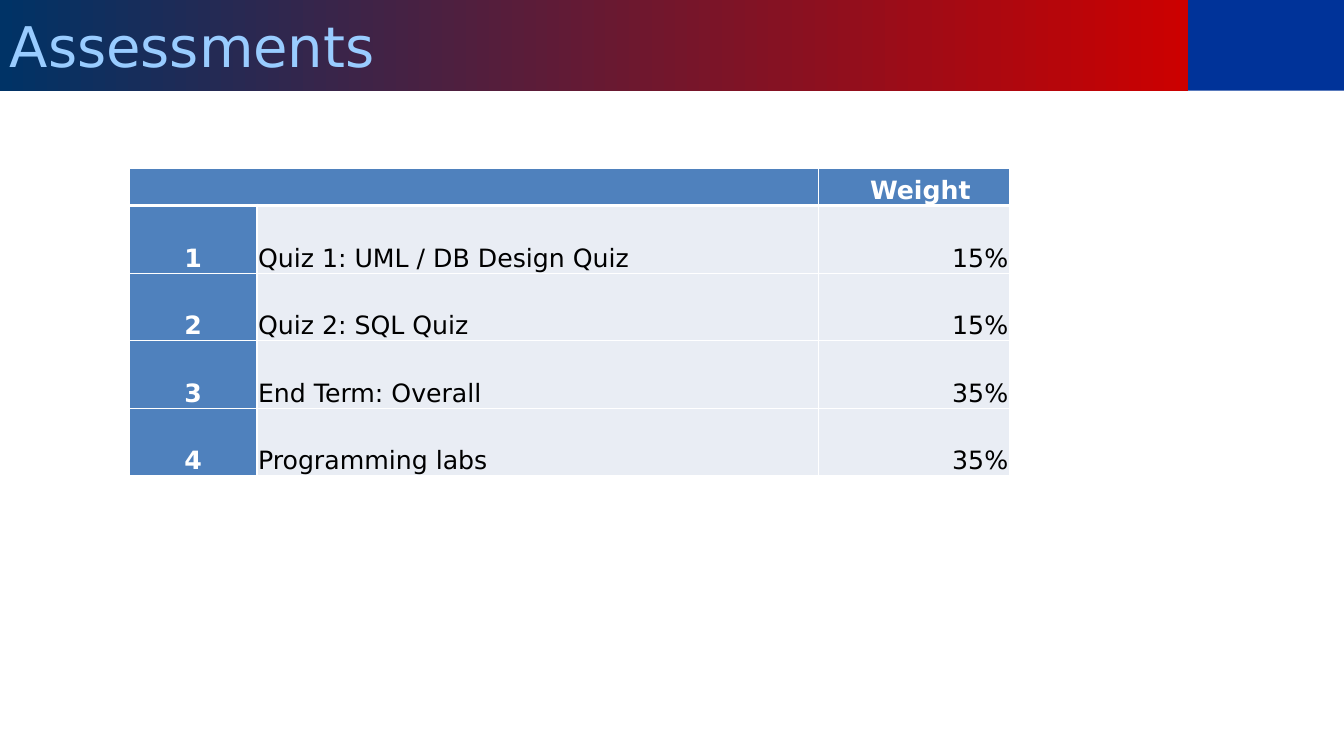
"""Build the Assessments slide with its table of weights."""
from dataclasses import dataclass

import lxml.etree
import pptx
import pptx.dml.color
import pptx.enum.shapes
import pptx.enum.text
import pptx.oxml.ns
import pptx.util

Inches = pptx.util.Inches
Align = pptx.enum.text.PP_ALIGN
FONT = "DejaVu Sans"
WHITE, BLACK = "FFFFFF", "000000"
HEADING_BLUE, ROW_GREY = "4F81BD", "E9EDF4"
COLUMN_WIDTHS = (1.27, 5.57, 1.89)
HEADING_HEIGHT, ROW_HEIGHT = 0.37, 0.67


@dataclass(frozen=True)
class Assessment:
    title: str
    weight: str


@dataclass(frozen=True)
class CellLook:
    fill: str
    color: str
    bold: bool
    align: Align
    indent: float = 0
    bottom_border: float = 1


HEADING = CellLook(HEADING_BLUE, WHITE, True, Align.LEFT, indent=0.5, bottom_border=3)
NUMBER = CellLook(HEADING_BLUE, WHITE, True, Align.CENTER)
TITLE = CellLook(ROW_GREY, BLACK, False, Align.LEFT)
WEIGHT = CellLook(ROW_GREY, BLACK, False, Align.RIGHT)

ASSESSMENTS = (
    Assessment("Quiz 1: UML / DB Design Quiz", "15%"),
    Assessment("Quiz 2: SQL Quiz", "15%"),
    Assessment("End Term: Overall", "35%"),
    Assessment("Programming labs", "35%"),
)


def rgb(code: str) -> pptx.dml.color.RGBColor:
    return pptx.dml.color.RGBColor.from_string(code)


def add_run(paragraph, text: str, size: float, color: str, bold: bool = False) -> None:
    run = paragraph.add_run()
    run.text = text
    run.font.name = FONT
    run.font.size = pptx.util.Pt(size)
    run.font.bold = bold
    run.font.color.rgb = rgb(color)


def add_band(slide, left: float, width: float):
    band = slide.shapes.add_shape(
        pptx.enum.shapes.MSO_SHAPE.RECTANGLE,
        Inches(left), Inches(0), Inches(width), Inches(0.9),
    )
    band.shadow.inherit = False
    band.line.fill.background()
    return band


def add_borders(cell, bottom_width: float) -> None:
    properties = cell._tc.get_or_add_tcPr()
    widths = {"lnL": 1, "lnR": 1, "lnT": 1, "lnB": bottom_width}
    for position, (side, width) in enumerate(widths.items()):
        border = lxml.etree.Element(
            pptx.oxml.ns.qn(f"a:{side}"), w=str(pptx.util.Pt(width))
        )
        fill = lxml.etree.SubElement(border, pptx.oxml.ns.qn("a:solidFill"))
        lxml.etree.SubElement(fill, pptx.oxml.ns.qn("a:srgbClr"), val=WHITE)
        properties.insert(position, border)


def fill_cell(cell, text: str, look: CellLook) -> None:
    cell.fill.solid()
    cell.fill.fore_color.rgb = rgb(look.fill)
    cell.margin_left = cell.margin_right = cell.margin_top = Inches(0.01)
    cell.margin_bottom = 0
    cell.vertical_anchor = pptx.enum.text.MSO_ANCHOR.BOTTOM
    add_borders(cell, look.bottom_border)
    paragraph = cell.text_frame.paragraphs[0]
    paragraph.alignment = look.align
    if text:
        add_run(paragraph, text, 18, look.color, look.bold)
        if look.indent:
            paragraph.level = 1
            properties = paragraph._p.get_or_add_pPr()
            properties.set("marL", str(Inches(look.indent)))
            properties.set("indent", "0")


def add_weights(slide) -> None:
    row_heights = [HEADING_HEIGHT] + [ROW_HEIGHT] * len(ASSESSMENTS)
    weights = slide.shapes.add_table(
        len(row_heights), len(COLUMN_WIDTHS), Inches(1.28), Inches(1.67),
        Inches(sum(COLUMN_WIDTHS)), Inches(sum(row_heights)),
    ).table
    weights.horz_banding = False
    for column, width in zip(weights.columns, COLUMN_WIDTHS):
        column.width = Inches(width)
    for row, height in zip(weights.rows, row_heights):
        row.height = Inches(height)

    for column, heading in enumerate(("", "", "Weight")):
        fill_cell(weights.cell(0, column), heading, HEADING)
    weights.cell(0, 0).merge(weights.cell(0, 1))
    for number, assessment in enumerate(ASSESSMENTS, start=1):
        fill_cell(weights.cell(number, 0), str(number), NUMBER)
        fill_cell(weights.cell(number, 1), assessment.title, TITLE)
        fill_cell(weights.cell(number, 2), assessment.weight, WEIGHT)


def main() -> None:
    deck = pptx.Presentation()
    deck.slide_width, deck.slide_height = Inches(13.33), Inches(7.5)
    slide = deck.slides.add_slide(deck.slide_layouts[6])

    corner = add_band(slide, 11.78, 1.55)
    corner.fill.solid()
    corner.fill.fore_color.rgb = rgb("003399")

    heading = add_band(slide, 0, 11.78)
    heading.fill.gradient()
    heading.fill.gradient_angle = 0
    for stop, color in zip(heading.fill.gradient_stops, ("003366", "CC0000")):
        stop.color.rgb = rgb(color)
    heading.text_frame.vertical_anchor = pptx.enum.text.MSO_ANCHOR.MIDDLE
    paragraph = heading.text_frame.paragraphs[0]
    paragraph.alignment = Align.LEFT
    add_run(paragraph, "Assessments", 40, "99CCFF")

    add_weights(slide)
    deck.save("out.pptx")


if __name__ == "__main__":
    main()
